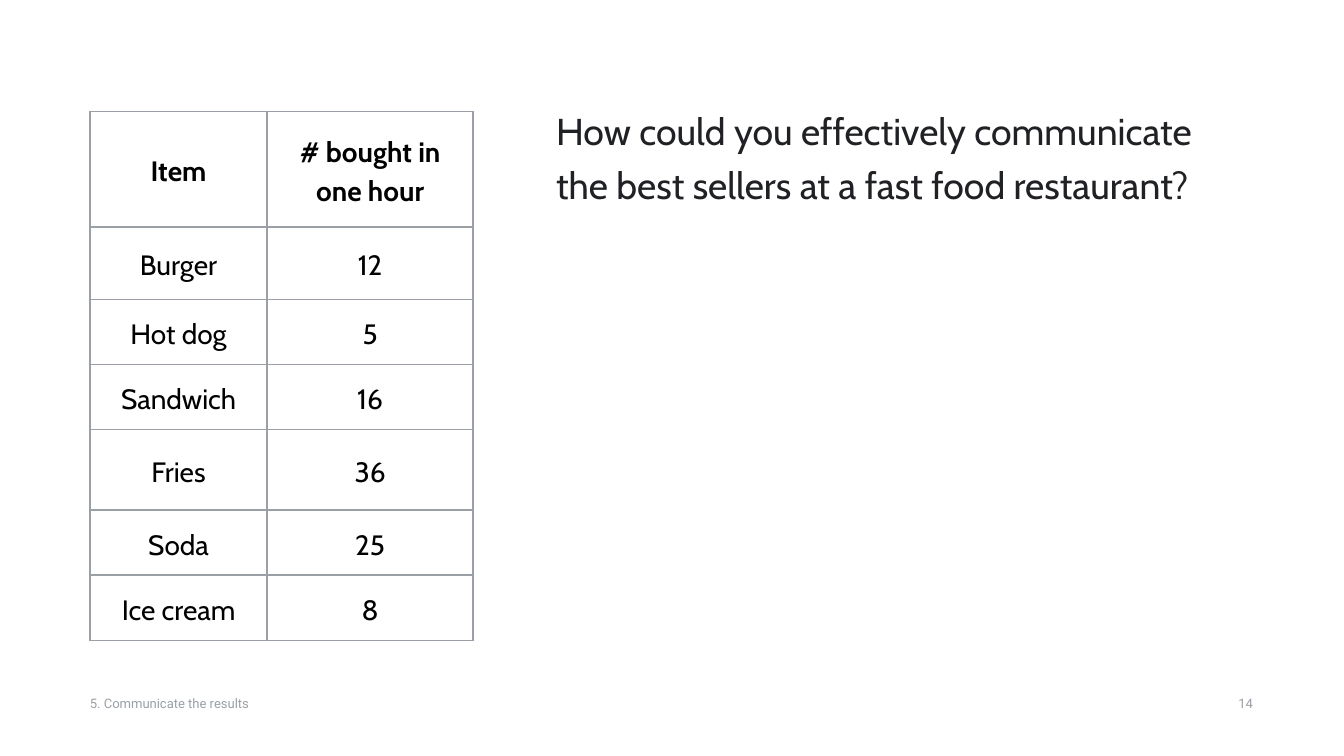
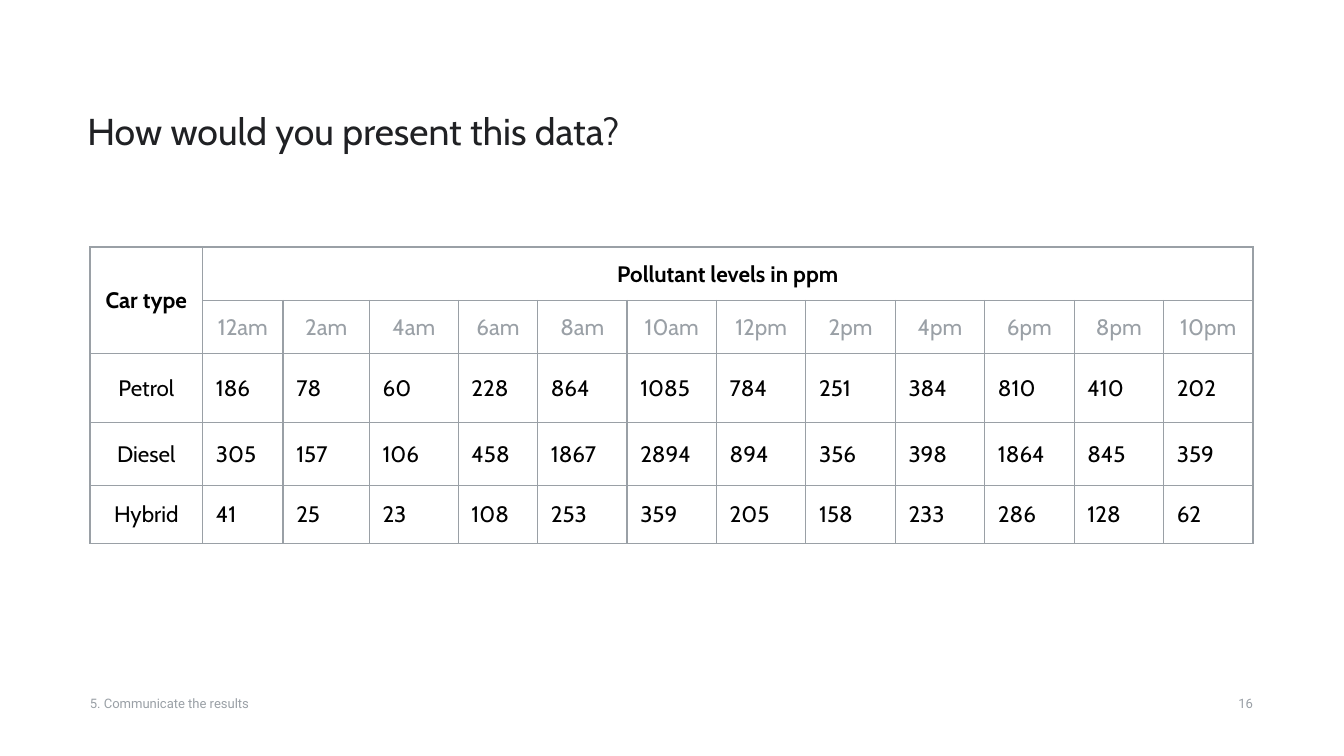
from dataclasses import dataclass
from lxml import etree
from pptx import Presentation
from pptx.dml.color import RGBColor
from pptx.enum.text import MSO_ANCHOR, PP_ALIGN
from pptx.oxml.ns import qn
from pptx.util import Cm, Pt

LEFT, MID, RIGHT = PP_ALIGN.LEFT, PP_ALIGN.CENTER, PP_ALIGN.RIGHT
TOP, CENTRE = MSO_ANCHOR.TOP, MSO_ANCHOR.MIDDLE

FOOTER = "5. Communicate the results"

SALES = {
    "page": "14",
    "title": "How could you effectively communicate\n"
             "the best sellers at a fast food restaurant?",
    "title_box": (10.26, 1.63, 15.44, 1.3),
    "rows": [
        ("Item", "# bought in one hour"),
        ("Burger", "12"),
        ("Hot dog", "5"),
        ("Sandwich", "16"),
        ("Fries", "36"),
        ("Soda", "25"),
        ("Ice cream", "8"),
    ],
    "origin": (1.7, 2.11),
    "widths": [3.35, 3.89],
    "heights": [2.18, 1.37, 0.89, 0.89, 1.52, 0.89, 0.89],
    "size": 15, "line": 1, "pad": 0.18, "spacing": 1.15,
    "merges": [], "grey_row": None, "values": MID,
}

HOURS = [f"{hour}{half}" for half in ("am", "pm")
         for hour in (12, 2, 4, 6, 8, 10)]
LEVELS = {
    "Petrol": [186, 78, 60, 228, 864, 1085, 784, 251, 384, 810, 410, 202],
    "Diesel": [305, 157, 106, 458, 1867, 2894, 894, 356, 398, 1864, 845, 359],
    "Hybrid": [41, 25, 23, 108, 253, 359, 205, 158, 233, 286, 128, 62],
}

CARS = {
    "page": "16",
    "title": "How would you present this data?",
    "title_box": (1.4, 1.63, 22.3, 1.3),
    "rows": [("Car type", "Pollutant levels in ppm"), ("", *HOURS)]
            + [(car, *map(str, ppm)) for car, ppm in LEVELS.items()],
    "origin": (1.7, 4.67),
    "widths": [2.13, 1.52, 1.63, 1.68, 1.5] + [1.69] * 8,
    "heights": [0.97, 0.94, 1.3, 1.19, 1.09],
    "size": 12, "line": 0.75, "pad": 0.25, "spacing": 1.0,
    "merges": [((0, 0), (1, 0)), ((0, 1), (0, 12))],
    "grey_row": 1, "values": LEFT,
}


@dataclass(frozen=True)
class Theme:
    ink: str = "202124"
    black: str = "000000"
    grey: str = "9AA0A6"
    main: str = "Cabin"
    small: str = "Roboto"
    title: float = 20
    foot: float = 7


THEME = Theme()


def assign(item, **values):
    for name, value in values.items():
        setattr(item, name, value)


def write(frame, text, font, size, color, bold=False, align=LEFT, spacing=1.0):
    para = frame.paragraphs[0]
    para.text = text
    assign(para, alignment=align, line_spacing=spacing)
    for run in para.runs:
        assign(run.font, name=font, size=Pt(size), bold=bold)
        run.font.color.rgb = RGBColor.from_string(color)


def add_text(slide, box, text, anchor, **style):
    frame = slide.shapes.add_textbox(*map(Cm, box)).text_frame
    pad = Cm(0.25)
    assign(frame, word_wrap=True, vertical_anchor=anchor, margin_left=pad,
           margin_right=pad, margin_top=pad, margin_bottom=pad)
    write(frame, text, **style)


def add_border(cell, width):
    props = cell._tc.get_or_add_tcPr()
    for place, side in enumerate(("lnL", "lnR", "lnT", "lnB")):
        line = etree.Element(qn(f"a:{side}"), w=str(Pt(width)))
        fill = etree.SubElement(line, qn("a:solidFill"))
        etree.SubElement(fill, qn("a:srgbClr"), val=THEME.grey)
        props.insert(place, line)


def add_grid(slide, data):
    widths, heights, rows = data["widths"], data["heights"], data["rows"]
    box = (*data["origin"], sum(widths), sum(heights))
    table = slide.shapes.add_table(
        len(heights), len(widths), *map(Cm, box)).table
    assign(table, first_row=False, horz_banding=False)
    for col, width in zip(table.columns, widths):
        col.width = Cm(width)
    for row, height in zip(table.rows, heights):
        row.height = Cm(height)
    for first, last in data["merges"]:
        table.cell(*first).merge(table.cell(*last))

    side, edge = Cm(data["pad"]), Cm(0.25)
    for r in range(len(heights)):
        for c in range(len(widths)):
            cell = table.cell(r, c)
            cell.fill.background()
            add_border(cell, data["line"])
            assign(cell, vertical_anchor=CENTRE, margin_left=side,
                   margin_right=side, margin_top=edge, margin_bottom=edge)
            if c >= len(rows[r]) or cell.is_spanned:
                continue
            head = r == 0 or r == data["grey_row"]
            write(cell.text_frame, rows[r][c], THEME.main, data["size"],
                  THEME.grey if r == data["grey_row"] else THEME.black,
                  bold=r == 0, spacing=data["spacing"],
                  align=MID if head or c == 0 else data["values"])


def add_page(deck, data):
    slide = deck.slides.add_slide(deck.slide_layouts[6])
    add_text(slide, data["title_box"], data["title"], TOP, font=THEME.main,
             size=THEME.title, color=THEME.ink, spacing=1.2)
    add_grid(slide, data)
    foot = {"font": THEME.small, "size": THEME.foot, "color": THEME.grey}
    add_text(slide, (1.45, 12.75, 7.34, 1.09), FOOTER, CENTRE, **foot)
    add_text(slide, (22.3, 12.75, 1.63, 1.09), data["page"], CENTRE,
             align=RIGHT, **foot)


def main():
    deck = Presentation()
    assign(deck, slide_width=Cm(25.4), slide_height=Cm(14.29))
    for data in (SALES, CARS):
        add_page(deck, data)
    deck.save("out.pptx")


if __name__ == "__main__":
    main()
